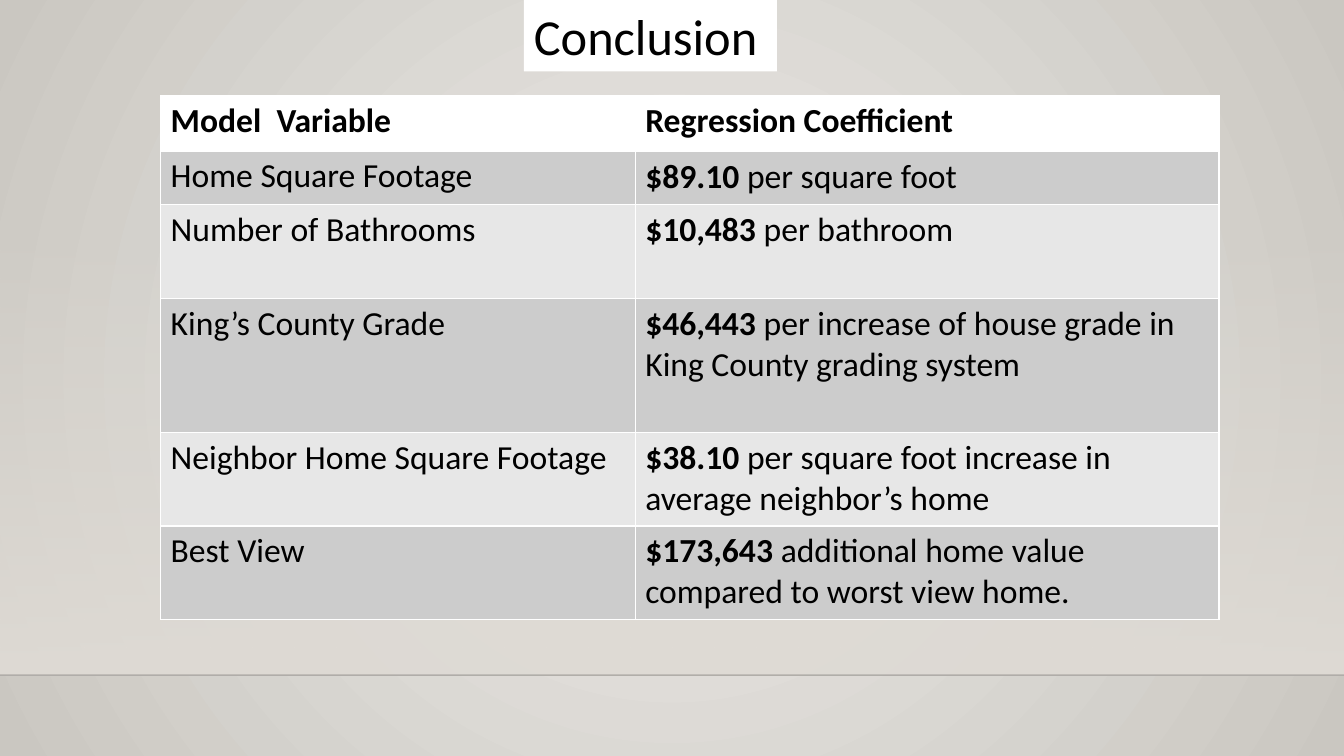
"""Build the conclusion slide with its table of regression coefficients."""
from lxml import etree
from pptx import Presentation
from pptx.dml.color import RGBColor
from pptx.enum.shapes import MSO_CONNECTOR, MSO_SHAPE
from pptx.enum.text import MSO_ANCHOR, MSO_AUTO_SIZE
from pptx.oxml.ns import qn
from pptx.util import Emu, Pt

STRAIGHT = MSO_CONNECTOR.STRAIGHT
RECTANGLE = MSO_SHAPE.RECTANGLE
TOP, MIDDLE = MSO_ANCHOR.TOP, MSO_ANCHOR.MIDDLE
GROW = MSO_AUTO_SIZE.SHAPE_TO_FIT_TEXT
PX = 9525
WIDTH, HEIGHT = 1280, 720
FLOOR_TOP, FLOOR_LINE = 212, 643
THEME = {
    "font": "Calibri",
    "title_size": Pt(36),
    "table_size": Pt(24),
    "text": RGBColor.from_string("000000"),
    "white": RGBColor.from_string("FFFFFF"),
    "bands": [RGBColor.from_string(c) for c in ("E7E7E7", "CCCCCC")],
    "backdrop": ["ECEAE7", "CAC7C1"],
    "wall": ["DFDBD5", "DFDBD5"],
    "floor_line": RGBColor.from_string("000001"),
}
COLUMN_WIDTHS = [452, 556]
ROW_HEIGHTS = [52, 52, 89, 128, 89, 89]
HEADINGS = ["Model  Variable", "Regression Coefficient"]
COEFFICIENTS = [
    ("Home Square Footage", "$89.10", " per square foot"),
    ("Number of Bathrooms", "$10,483", " per bathroom"),
    ("King’s County Grade", "$46,443",
     " per increase of house grade in King County grading system"),
    ("Neighbor Home Square Footage", "$38.10",
     " per square foot increase in average neighbor’s home"),
    ("Best View", "$173,643",
     " additional home value compared to worst view home."),
]


def set_gradient(fill, colours):
    fill.gradient()
    for stop, colour in zip(fill.gradient_stops, colours):
        stop.color.rgb = RGBColor.from_string(colour)


def add_run(paragraph, text, size, bold=False):
    run = paragraph.add_run()
    run.text = text
    formats = {"name": THEME["font"], "size": size, "bold": bold}
    for key, value in formats.items():
        setattr(run.font, key, value)
    run.font.color.rgb = THEME["text"]


prs = Presentation()
prs.slide_width, prs.slide_height = Emu(WIDTH * PX), Emu(HEIGHT * PX)
slide = prs.slides.add_slide(prs.slide_layouts[6])

set_gradient(slide.background.fill, THEME["backdrop"])
backdrop = slide.element.find(".//" + qn("a:gradFill"))
backdrop.remove(backdrop.find(qn("a:lin")))
radial = etree.SubElement(backdrop, qn("a:path"), {"path": "circle"})
etree.SubElement(radial, qn("a:fillToRect"), {side: "50000" for side in "ltrb"})

wall = slide.shapes.add_shape(
    RECTANGLE, 0, FLOOR_TOP * PX, WIDTH * PX, (FLOOR_LINE - FLOOR_TOP) * PX)
wall.shadow.inherit = False
wall.line.fill.background()
set_gradient(wall.fill, THEME["wall"])
wall.fill.gradient_angle = 270
wall_start = wall.element.spPr.find(".//" + qn("a:srgbClr"))
etree.SubElement(wall_start, qn("a:alpha"), {"val": "0"})

floor_line = slide.shapes.add_connector(
    STRAIGHT, 0, FLOOR_LINE * PX, WIDTH * PX, FLOOR_LINE * PX)
floor_line.line.width = Pt(1)
floor_line.line.color.rgb = THEME["floor_line"]
floor_spPr = floor_line.element.spPr
etree.SubElement(floor_spPr.find(".//" + qn("a:srgbClr")), qn("a:alpha"), {"val": "20000"})
etree.SubElement(floor_spPr, qn("a:effectLst"))

table = slide.shapes.add_table(
    len(ROW_HEIGHTS), len(COLUMN_WIDTHS), 153 * PX, 91 * PX,
    sum(COLUMN_WIDTHS) * PX, sum(ROW_HEIGHTS) * PX).table
for column, width in zip(table.columns, COLUMN_WIDTHS):
    column.width = Emu(width * PX)
for row, height in zip(table.rows, ROW_HEIGHTS):
    row.height = Emu(height * PX)

cell_runs = [[[(heading, True)] for heading in HEADINGS]]
for variable, amount, meaning in COEFFICIENTS:
    cell_runs.append([[(variable, False)], [(amount, True), (meaning, False)]])

for r, row_runs in enumerate(cell_runs):
    for c, runs in enumerate(row_runs):
        cell = table.cell(r, c)
        cell.vertical_anchor = MIDDLE if (r, c) == (1, 1) else TOP
        borders = {"L": 1, "R": 1, "T": 3 if r == 1 else 1, "B": 3 if r == 0 else 1}
        for side, points in borders.items():
            border = etree.SubElement(
                cell._tc.get_or_add_tcPr(), qn("a:ln" + side), {"w": str(Pt(points))})
            solid = etree.SubElement(border, qn("a:solidFill"))
            etree.SubElement(solid, qn("a:srgbClr"), {"val": str(THEME["white"])})
        cell.fill.solid()
        cell.fill.fore_color.rgb = THEME["bands"][r % 2] if r else THEME["white"]
        for text, bold in runs:
            add_run(cell.text_frame.paragraphs[0], text, THEME["table_size"], bold)

title = slide.shapes.add_textbox(499 * PX, 0, 241 * PX, 68 * PX)
title.fill.solid()
title.fill.fore_color.rgb = THEME["white"]
title.text_frame.word_wrap = True
title.text_frame.auto_size = GROW
add_run(title.text_frame.paragraphs[0], "Conclusion", THEME["title_size"])

prs.save("out.pptx")
